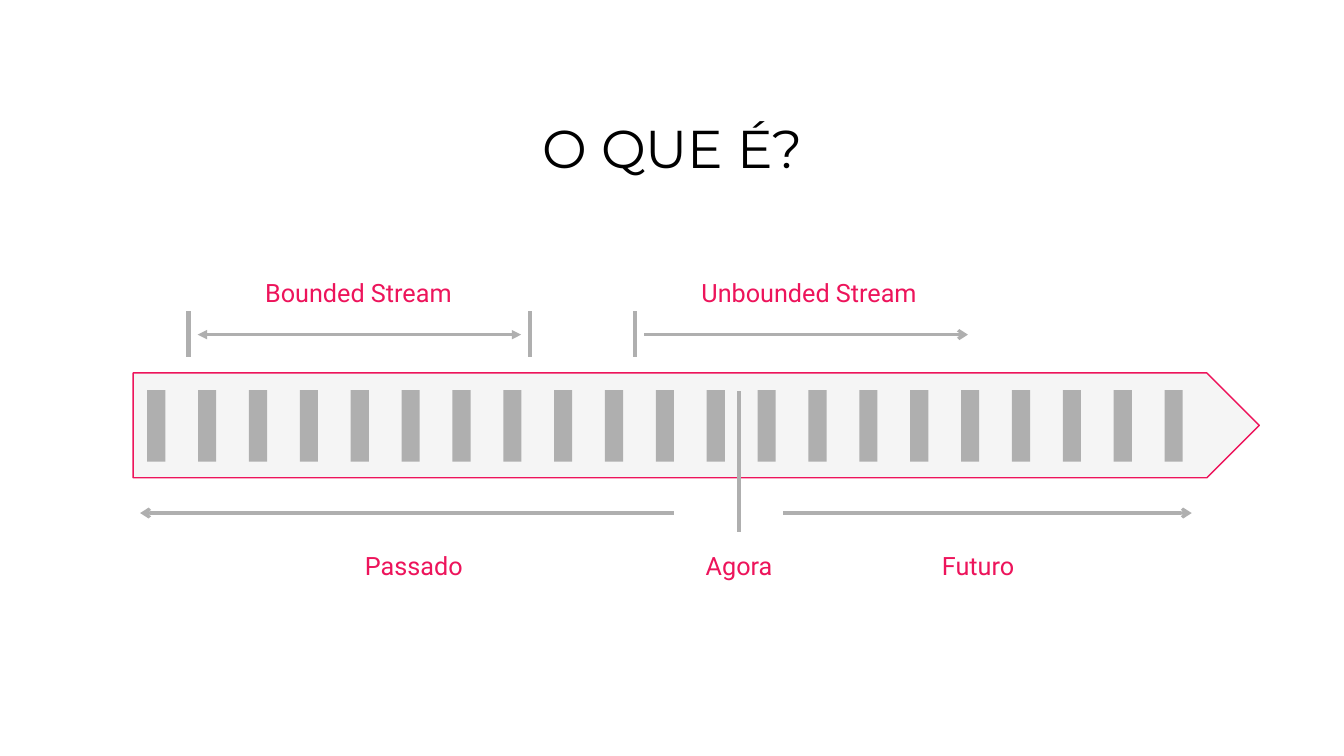
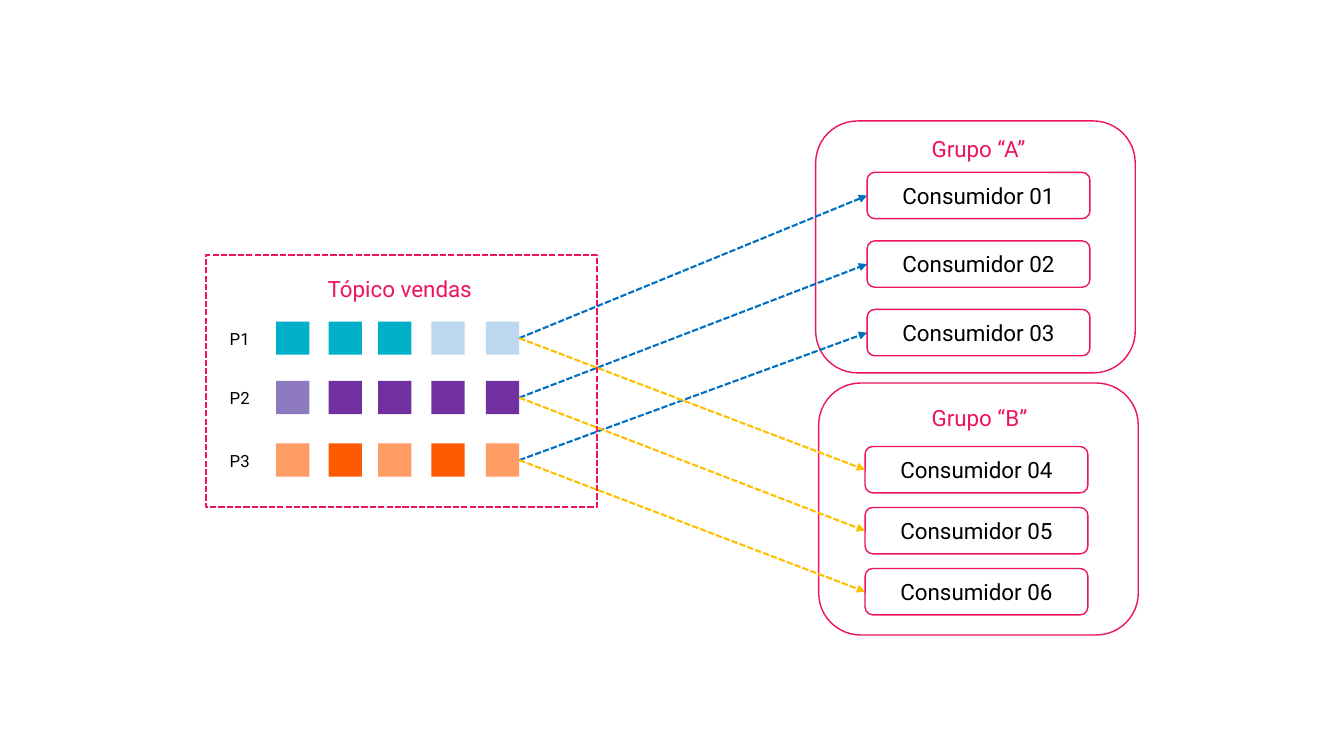
from pptx import Presentation
from pptx.dml.color import RGBColor
from pptx.enum.dml import MSO_LINE
from pptx.enum.shapes import MSO_CONNECTOR, MSO_SHAPE
from pptx.enum.text import MSO_ANCHOR, PP_ALIGN
from pptx.oxml.ns import qn
from pptx.util import Inches, Pt
from lxml.etree import SubElement

# Shared style
COLORS = dict(pink="ED145B", gray="AFAFAF", pale="F5F5F5", white="FFFFFF",
              black="000000", teal="00B0C9", sky="BDD7EE", lilac="8D7ABE",
              purple="7030A0", peach="FF9B65", orange="FF5A00",
              blue="0070C0", gold="FFC000")
TITLE = dict(name="Montserrat", size=Pt(38))
LABEL = dict(name="Roboto", size=Pt(18))
BODY = dict(name="Roboto", size=Pt(16))
SMALL = dict(name="Roboto", size=Pt(12))

# Timeline content
TITLE_TEXT = "O QUE É?"
BAND = (1.32, 3.7, 11.17, 1.04)
EVENTS = dict(count=21, first=1.46, last=11.55, top=3.87, w=0.18, h=0.71)
TIMELINE_LABELS = [  # text, left, top, width
    ("Bounded Stream", 2.53, 2.7, 2.05),
    ("Unbounded Stream", 6.75, 2.7, 2.55),
    ("Passado", 3.07, 5.41, 2.07),
    ("Agora", 6.89, 5.41, 0.88),
    ("Futuro", 9.14, 5.41, 1.12),
]
TIMELINE_ARROWS = [  # from x, to x, y, head, tail
    (1.96, 5.17, 3.32, "triangle", "triangle"),
    (6.39, 9.6, 3.32, None, "arrow"),
    (6.68, 1.39, 5.09, None, "arrow"),
    (7.77, 11.82, 5.09, None, "arrow"),
]
MARKERS = [(1.87, 3.09, 3.54), (5.26, 3.09, 3.54), (6.3, 3.09, 3.54),
           (7.33, 3.88, 5.28)]  # x, top, bottom

# Topic content
TOPIC = ("Tópico vendas", (2.04, 2.53, 3.88, 2.5), (2.73, 2.68, 2.47, 0.37))
CELL = 0.33
CELL_LEFTS = [2.74, 3.26, 3.75, 4.28, 4.82]
PARTITIONS = [  # name, top, cell colours
    ("P1", 3.19, ["teal"] * 3 + ["sky"] * 2),
    ("P2", 3.78, ["lilac"] + ["purple"] * 4),
    ("P3", 4.4, ["peach", "orange", "peach", "orange", "peach"]),
]
GROUPS = [
    dict(name="Grupo “A”", box=(8.09, 1.2), title=(8.84, 1.29), left=8.6,
         top=1.71, pitch=0.68, first=1, link="blue"),
    dict(name="Grupo “B”", box=(8.12, 3.8), title=(8.85, 3.96), left=8.58,
         top=4.43, pitch=0.605, first=4, link="gold"),
]


def rgb(name):
    return RGBColor.from_string(COLORS[name])


def write(sp, text, font, color, align=PP_ALIGN.CENTER, spacing=None):
    tf = sp.text_frame
    tf.word_wrap = True
    tf.vertical_anchor = MSO_ANCHOR.MIDDLE
    p = tf.paragraphs[0]
    p.alignment = align
    p.line_spacing = spacing
    r = p.add_run()
    r.text = text
    for key, value in font.items():
        setattr(r.font, key, value)
    r.font.color.rgb = rgb(color)


def label(s, text, box, font, color="pink", **layout):
    write(s.shapes.add_textbox(*map(Inches, box)), text, font, color, **layout)


def shape(s, kind, box, fill, line=None, width=1, dash=None):
    sp = s.shapes.add_shape(kind, *map(Inches, box))
    sp.shadow.inherit = False
    sp.fill.solid()
    sp.fill.fore_color.rgb = rgb(fill)
    if line:
        sp.line.color.rgb = rgb(line)
        sp.line.width = Pt(width)
        sp.line.dash_style = dash
    else:
        sp.line.fill.background()
    return sp


def line(s, start, end, color, width, head=None, tail=None, dash=None):
    cx = s.shapes.add_connector(MSO_CONNECTOR.STRAIGHT,
                                *map(Inches, (*start, *end)))
    cx.line.color.rgb = rgb(color)
    cx.line.width = Pt(width)
    cx.line.dash_style = dash
    ln = cx.line._get_or_add_ln()
    for tag, kind in (("a:headEnd", head), ("a:tailEnd", tail)):
        if kind:
            SubElement(ln, qn(tag), type=kind)
    SubElement(cx._element.spPr, qn("a:effectLst"))
    return cx


def timeline_slide(s):
    label(s, TITLE_TEXT, (0.92, 0.78, 11.5, 1.45), TITLE, "black", spacing=0.9)

    # Stream band with evenly spaced events
    shape(s, MSO_SHAPE.PENTAGON, BAND, "pale", "pink")
    pitch = (EVENTS["last"] - EVENTS["first"]) / (EVENTS["count"] - 1)
    for i in range(EVENTS["count"]):
        box = (EVENTS["first"] + i * pitch, EVENTS["top"], EVENTS["w"], EVENTS["h"])
        shape(s, MSO_SHAPE.RECTANGLE, box, "gray")

    # Spans, limits and labels
    for x1, x2, y, head, tail in TIMELINE_ARROWS:
        line(s, (x1, y), (x2, y), "gray", 2.25, head, tail)
    for x, top, bottom in MARKERS:
        line(s, (x, top), (x, bottom), "gray", 3)
    for text, left, top, width in TIMELINE_LABELS:
        label(s, text, (left, top, width, 0.4), LABEL)


def topic_slide(s):
    # Frames
    for group in reversed(GROUPS):
        shape(s, MSO_SHAPE.ROUNDED_RECTANGLE, (*group["box"], 3.17, 2.5),
              "white", "pink")
    name, frame, title = TOPIC
    shape(s, MSO_SHAPE.RECTANGLE, frame, "white", "pink", 1.5, MSO_LINE.SQUARE_DOT)
    label(s, name, title, BODY)

    # Partitions: the last cell of each row feeds the consumers
    sources = []
    for name, top, colors in PARTITIONS:
        label(s, name, (2.18, top + 0.02, 0.43, 0.3), SMALL, "black",
              align=PP_ALIGN.LEFT)
        cells = [shape(s, MSO_SHAPE.RECTANGLE, (left, top, CELL, CELL), color)
                 for left, color in zip(CELL_LEFTS, colors)]
        sources.append(cells[-1])

    # Consumers, each joined to its partition
    for group in GROUPS:
        label(s, group["name"], (*group["title"], 1.73, 0.37), BODY)
        for i, source in enumerate(sources):
            box = (group["left"], group["top"] + i * group["pitch"], 2.21, 0.46)
            consumer = shape(s, MSO_SHAPE.ROUNDED_RECTANGLE, box, "white", "pink")
            write(consumer, f"Consumidor {group['first'] + i:02}", BODY, "black")
            link = line(s, (0, 0), (1, 1), group["link"], 1.5, tail="triangle",
                        dash=MSO_LINE.SQUARE_DOT)
            link.begin_connect(source, 3)
            link.end_connect(consumer, 1)


def main():
    prs = Presentation()
    prs.slide_width, prs.slide_height = Inches(13.33), Inches(7.5)
    for build in (timeline_slide, topic_slide):
        build(prs.slides.add_slide(prs.slide_layouts[6]))
    prs.save("out.pptx")


if __name__ == "__main__":
    main()
